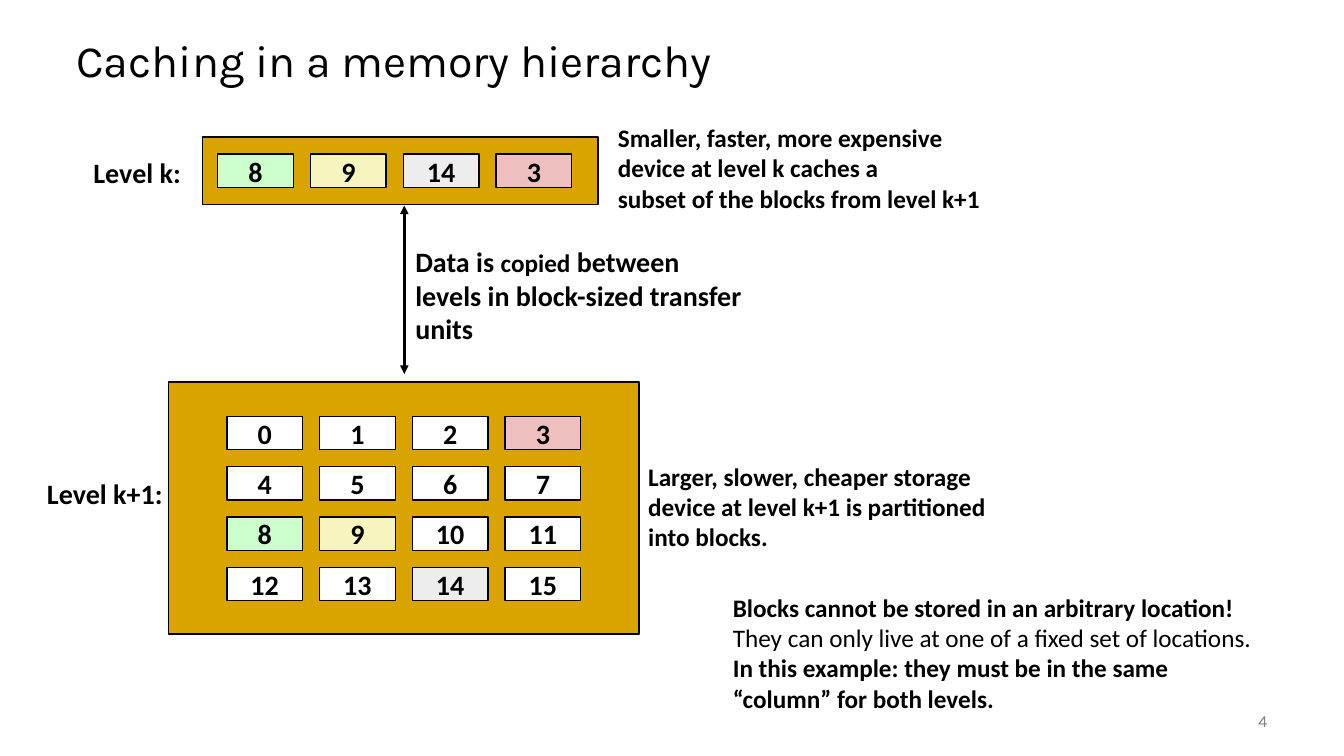
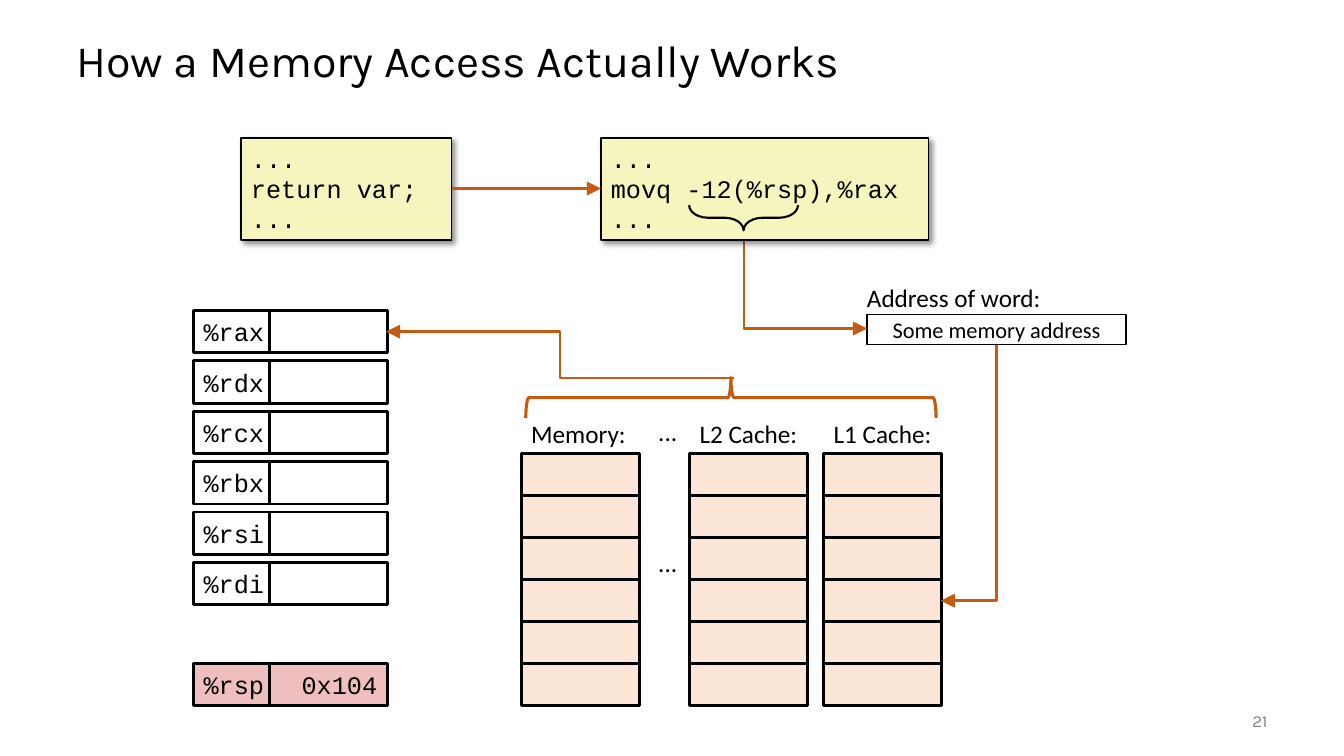
"""Build two slides on caching in a memory hierarchy."""
from dataclasses import dataclass, replace
from typing import NamedTuple, Optional, Sequence, Union

from lxml.etree import SubElement
from pptx import Presentation
from pptx.dml.color import RGBColor
from pptx.enum.shapes import MSO_CONNECTOR as Link, MSO_SHAPE as Preset
from pptx.enum.text import MSO_ANCHOR as Anchor, PP_ALIGN as Align
from pptx.oxml.ns import qn
from pptx.shapes.autoshape import Shape
from pptx.slide import Slide
from pptx.text.text import TextFrame
from pptx.util import Inches, Pt

BLACK, WHITE, GREY = "000000", "FFFFFF", "808080"
GOLD, GREEN, YELLOW, SILVER, PINK = "D9A300", "CCFFCC", "F6F5BD", "EDEDED", "EFBFBF"
PEACH, ORANGE = "FBE5D6", "C55A11"


class Area(NamedTuple):
    left: float
    top: float
    width: float
    height: float


class Point(NamedTuple):
    x: float
    y: float


@dataclass(frozen=True)
class Style:
    size: float
    font: str = "Calibri"
    bold: bool = False
    colour: str = BLACK
    align: Align = Align.LEFT
    spacing: float = 1.0


class Span(NamedTuple):
    text: str
    style: Style


Line = Union[str, Sequence[Span]]

TITLE = Style(32, "Karla", spacing=0.9)
PAGE_NUMBER = Style(12, "Karla", colour=GREY, align=Align.RIGHT)
BODY = Style(18)
NOTE = Style(18, bold=True)
LEVEL = Style(20, bold=True)
BLOCK = replace(LEVEL, align=Align.CENTER)
CODE = Style(18, "Courier New")
ADDRESS = Style(16, align=Align.CENTER)

BLOCK_COLOURS = {8: GREEN, 9: YELLOW, 14: SILVER, 3: PINK}
BLOCK_STEP = 0.92
COLUMNS = 4
ROW_COUNT = 6
ROW_HEIGHT = 2.5 / ROW_COUNT


def rgb(colour: str) -> RGBColor:
    """Turn a hex string into a colour."""
    return RGBColor.from_string(colour)


def write(frame: TextFrame, lines: Sequence[Line], style: Style) -> None:
    """Fill a text frame, one paragraph for each line."""
    for index, line in enumerate(lines):
        paragraph = frame.add_paragraph() if index else frame.paragraphs[0]
        paragraph.alignment = style.align
        paragraph.line_spacing = style.spacing
        spans = [Span(line, style)] if isinstance(line, str) else line
        for span in spans:
            run = paragraph.add_run()
            run.text = span.text
            run.font.name = span.style.font
            run.font.size = Pt(span.style.size)
            run.font.bold = span.style.bold
            run.font.color.rgb = rgb(span.style.colour)


def add_text(slide: Slide, area: Area, lines: Sequence[Line], style: Style,
             wrap: bool = False, anchor: Anchor = Anchor.MIDDLE) -> None:
    """Place free text on the slide."""
    frame = slide.shapes.add_textbox(*map(Inches, area)).text_frame
    frame.word_wrap = wrap
    frame.vertical_anchor = anchor
    write(frame, lines, style)


def add_box(slide: Slide, area: Area, fill: str, lines: Sequence[Line] = (),
            style: Style = BODY, weight: float = 1, wrap: bool = False) -> Shape:
    """Draw a filled rectangle with a black outline."""
    box = slide.shapes.add_shape(Preset.RECTANGLE, *map(Inches, area))
    box.shadow.inherit = False
    box.fill.solid()
    box.fill.fore_color.rgb = rgb(fill)
    box.line.color.rgb = rgb(BLACK)
    box.line.width = Pt(weight)
    box.text_frame.word_wrap = wrap
    box.text_frame.vertical_anchor = Anchor.MIDDLE
    write(box.text_frame, lines, style)
    return box


def add_arrow(slide: Slide, tip: Point, origin: Point, colour: str = ORANGE,
              preset: Optional[str] = None, ends: Sequence[str] = ("headEnd",),
              head_size: str = "lg") -> None:
    """Draw a straight or bent arrow that points at its tip."""
    kind = Link.ELBOW if preset else Link.STRAIGHT
    arrow = slide.shapes.add_connector(kind, *map(Inches, (*tip, *origin)))
    arrow.line.color.rgb = rgb(colour)
    arrow.line.width = Pt(2)
    properties = arrow.element.spPr
    if preset:
        properties.find(qn("a:prstGeom")).set("prst", preset)
    outline = properties.find(qn("a:ln"))
    for end in ends:
        SubElement(outline, qn(f"a:{end}"), type="triangle", w=head_size, len=head_size)
    SubElement(properties, qn("a:effectLst"))


def add_brace(slide: Slide, preset: Preset, area: Area, colour: str, weight: float,
              curl: float) -> None:
    """Draw a brace turned on its side."""
    brace = slide.shapes.add_shape(preset, *map(Inches, area))
    brace.shadow.inherit = False
    brace.rotation = 270
    brace.adjustments[0] = curl
    brace.fill.background()
    brace.line.color.rgb = rgb(colour)
    brace.line.width = Pt(weight)


def add_code(slide: Slide, area: Area, statement: str) -> None:
    """Draw a code excerpt on a card with a soft shadow."""
    card = add_box(slide, area, YELLOW, ("...", statement, "..."), CODE, wrap=True)
    card.text_frame.vertical_anchor = Anchor.TOP
    effects = card.element.spPr.find(qn("a:effectLst"))
    shadow = SubElement(effects, qn("a:outerShdw"), blurRad=str(Pt(4)), dist=str(Pt(3)),
                        dir="2700000", algn="tl", rotWithShape="0")
    tint = SubElement(shadow, qn("a:srgbClr"), val=BLACK)
    SubElement(tint, qn("a:alpha"), val="43000")


def add_block(slide: Slide, left: float, top: float, number: int) -> None:
    """Draw one numbered memory block."""
    add_box(slide, Area(left, top, 0.75, 0.33), BLOCK_COLOURS.get(number, WHITE),
            (str(number),), BLOCK)


def add_register(slide: Slide, top: float, name: str, value: str = "",
                 fill: str = WHITE) -> None:
    """Draw a register name beside its value."""
    add_box(slide, Area(1.92, top, 0.75, 0.42), fill, (name,), CODE, 2)
    add_box(slide, Area(2.67, top, 1.17, 0.42), fill, (value,) if value else (),
            replace(CODE, align=Align.RIGHT), 2)


def add_store(slide: Slide, left: float, label: str) -> None:
    """Draw a labelled column of memory rows."""
    add_text(slide, Area(left, 4.1, 1.17, 0.4), (label,), BODY, anchor=Anchor.TOP)
    for row in range(ROW_COUNT):
        add_box(slide, Area(left, 4.5 + row * ROW_HEIGHT, 1.17, ROW_HEIGHT), PEACH, weight=2)


def start_slide(deck: Presentation, title: str, page: int) -> Slide:
    """Add a slide with its title and page number."""
    slide = deck.slides.add_slide(deck.slide_layouts[6])
    add_text(slide, Area(0.66, 0.25, 12, 0.75), (title,), TITLE, wrap=True)
    add_text(slide, Area(11.67, 6.95, 1, 0.4), (str(page),), PAGE_NUMBER, wrap=True)
    return slide


def build_hierarchy(deck: Presentation) -> None:
    """Show two levels of storage and the transfer between them."""
    slide = start_slide(deck, "Caching in a memory hierarchy", 4)
    add_box(slide, Area(2.01, 1.36, 3.92, 0.67), GOLD)
    for column, number in enumerate((8, 9, 14, 3)):
        add_block(slide, 2.16 + column * BLOCK_STEP, 1.53, number)
    add_box(slide, Area(1.67, 3.79, 4.67, 2.5), GOLD)
    for number in range(16):
        row, column = divmod(number, COLUMNS)
        add_block(slide, 2.25 + column * BLOCK_STEP, 4.13 + row * 0.5, number)
    add_arrow(slide, Point(4.01, 2.04), Point(4.01, 3.71), BLACK,
              ends=("headEnd", "tailEnd"), head_size="med")
    add_text(slide, Area(0.82, 1.49, 1.08, 0.44), ("Level k:",), BLOCK)
    add_text(slide, Area(0.36, 4.67, 1.36, 0.44), ("Level k+1:",), BLOCK)
    add_text(slide, Area(6.03, 1.16, 3.84, 1.01),
             ("Smaller, faster, more expensive", "device at level k caches a",
              "subset of the blocks from level k+1"), NOTE)
    add_text(slide, Area(4.02, 2.37, 3.65, 1.11),
             ((Span("Data is ", LEVEL), Span("copied", NOTE), Span(" between", LEVEL)),
              "levels in block-sized transfer units"), LEVEL, wrap=True)
    add_text(slide, Area(6.33, 4.52, 3.59, 1.01),
             ("Larger, slower, cheaper storage", "device at level k+1 is partitioned",
              "into blocks."), NOTE)
    add_text(slide, Area(7.17, 5.82, 5.39, 1.31),
             ("Blocks cannot be stored in an arbitrary location!",
              (Span("They can only live at one of a fixed set of locations.", BODY),),
              "In this example: they must be in the same “column” for both levels."),
             NOTE, wrap=True)


def build_access(deck: Presentation) -> None:
    """Follow a memory access from code to register."""
    slide = start_slide(deck, "How a Memory Access Actually Works", 21)
    add_text(slide, Area(8.5, 2.75, 1.98, 0.4), ("Address of word:",), BODY,
             anchor=Anchor.TOP)
    add_box(slide, Area(8.6, 3.12, 2.57, 0.3), WHITE, ("Some memory address",), ADDRESS,
            wrap=True)
    for index, name in enumerate(("%rax", "%rdx", "%rcx", "%rbx", "%rsi", "%rdi")):
        add_register(slide, 3.08 + index * 0.5, name)
    add_register(slide, 6.58, "%rsp", "0x104", PINK)
    for left, label in ((5.17, "Memory:"), (6.84, "L2 Cache:"), (8.17, "L1 Cache:")):
        add_store(slide, left, label)
    for top in (4.08, 5.38):
        add_text(slide, Area(6.43, top, 0.4, 0.4), ("...",), BODY, anchor=Anchor.TOP)
    add_arrow(slide, Point(8.6, 3.26), Point(7.38, 1.9), preset="bentConnector2")
    add_arrow(slide, Point(9.33, 5.96), Point(9.88, 3.42), preset="bentConnector2")
    add_arrow(slide, Point(3.83, 3.29), Point(7.28, 3.75), preset="bentConnector3")
    add_code(slide, Area(2.39, 1.37, 2.09, 1.01), "return var;")
    add_code(slide, Area(5.96, 1.37, 3.25, 1.01), "movq -12(%rsp),%rax")
    add_arrow(slide, Point(5.96, 1.87), Point(4.48, 1.87))
    add_brace(slide, Preset.LEFT_BRACE, Area(7.25, 1.62, 0.25, 1.08), BLACK, 1.5, 0.75)
    add_brace(slide, Preset.RIGHT_BRACE, Area(7.05, 1.91, 0.4, 4.07), ORANGE, 2.25, 0.08)


def main() -> None:
    """Build and save the deck."""
    deck = Presentation()
    deck.slide_width, deck.slide_height = Inches(13.33), Inches(7.5)
    build_hierarchy(deck)
    build_access(deck)
    deck.save("out.pptx")


if __name__ == "__main__":
    main()
